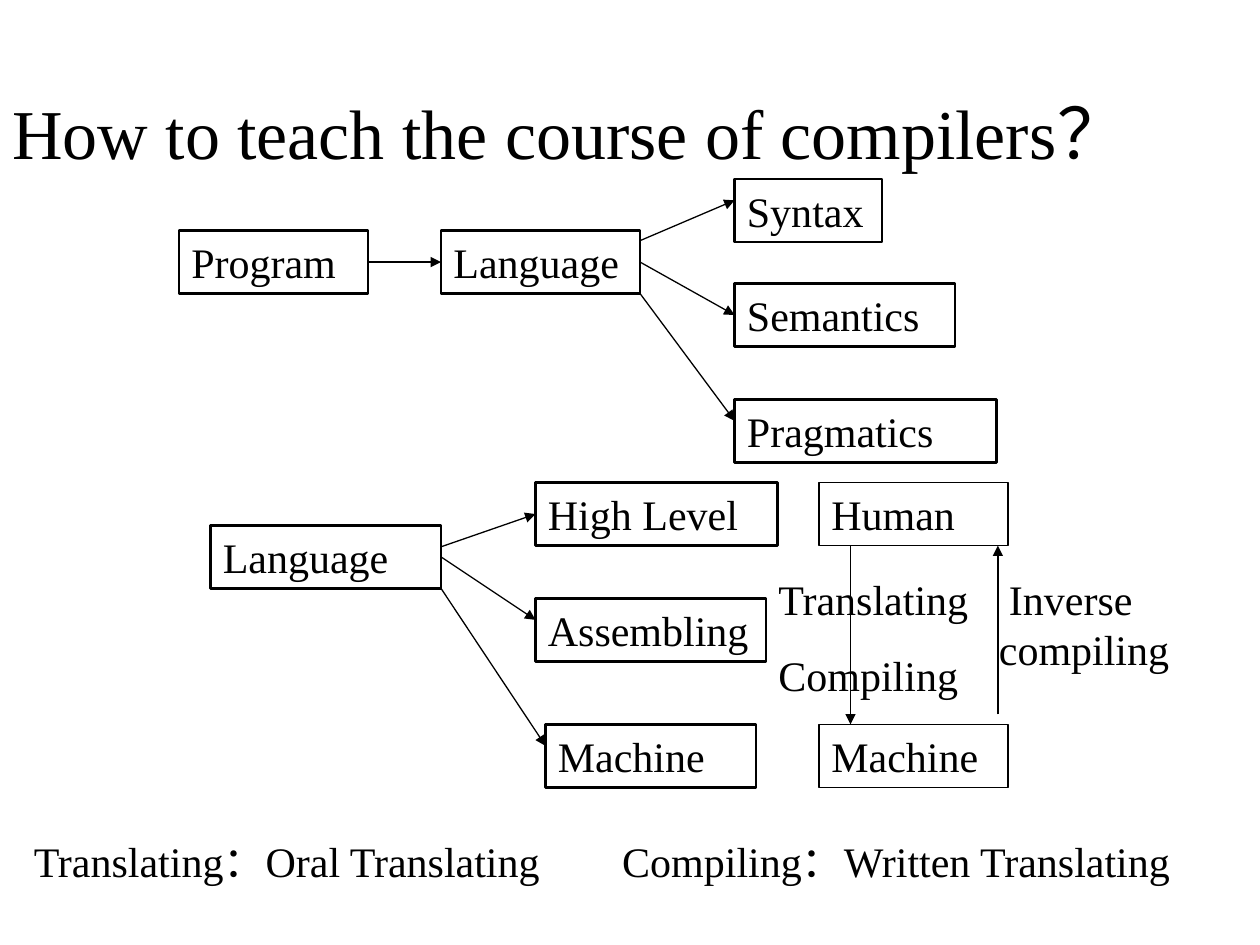
from lxml.etree import SubElement
from pptx import Presentation
from pptx.dml.color import RGBColor
from pptx.enum.shapes import MSO_CONNECTOR, MSO_SHAPE
from pptx.enum.text import MSO_ANCHOR, MSO_AUTO_SIZE, PP_ALIGN
from pptx.oxml.ns import qn
from pptx.util import Inches, Pt

COLORS = {"ink": "000000"}
FONT = "Times New Roman"
BOX_HEIGHT = 0.5
MIDDLE = BOX_HEIGHT / 2
LEFT_SIDE, RIGHT_SIDE = 1, 3


def ink():
    """Return the colour of all text and lines."""
    return RGBColor.from_string(COLORS["ink"])


def write(shape, lines, size=24, before=15):
    """Fill a shape with left-aligned paragraphs in the slide's font."""
    frame = shape.text_frame
    frame.word_wrap = True
    frame.vertical_anchor = MSO_ANCHOR.TOP
    frame.text = "\n".join(lines)
    for para in frame.paragraphs:
        para.alignment = PP_ALIGN.LEFT
        para.space_before = Pt(before)
        for span in para.runs:
            span.font.name = FONT
            span.font.size = Pt(size)
            span.font.color.rgb = ink()
    frame.auto_size = MSO_AUTO_SIZE.SHAPE_TO_FIT_TEXT
    return frame


def add_text(page, box, lines, **style):
    """Place a plain text box and return its text frame."""
    return write(page.shapes.add_textbox(*map(Inches, box)), lines, **style)


def add_node(page, left, top, width, label, weight=1.5):
    """Place an outlined, unfilled box with a label."""
    node = page.shapes.add_shape(
        MSO_SHAPE.RECTANGLE, *map(Inches, (left, top, width, BOX_HEIGHT)))
    node.shadow.inherit = False
    node.fill.background()
    node.line.color.rgb = ink()
    node.line.width = Pt(weight)
    write(node, [label])
    return node


def add_arrow(page, start, end):
    """Draw a thin straight arrow between two points."""
    arrow = page.shapes.add_connector(
        MSO_CONNECTOR.STRAIGHT, *map(Inches, (*start, *end)))
    arrow.line.color.rgb = ink()
    arrow.line.width = Pt(0.75)
    SubElement(arrow.line._get_or_add_ln(), qn("a:tailEnd"), type="triangle")
    SubElement(arrow._element.spPr, qn("a:effectLst"))
    return arrow


def add_link(page, source, target, start, end):
    """Draw an arrow between nodes, joined wherever it meets mid-side."""
    (source_node, left, top, width), (target_node, x, y) = source, target
    arrow = add_arrow(page, (left + width, top + start), (x, y + end))
    if start == MIDDLE:
        arrow.begin_connect(source_node, RIGHT_SIDE)
    if end == MIDDLE:
        arrow.end_connect(target_node, LEFT_SIDE)


def add_fan(page, box, label, branches):
    """Place a root node with arrows to its branches."""
    left, top, width = box
    root = (add_node(page, left, top, width, label), left, top, width)
    for name, right, down, branch_width, start, end in branches:
        x, y = left + right, top + down
        branch = add_node(page, x, y, branch_width, name)
        add_link(page, root, (branch, x, y), start, end)
    return root


def add_language_aspects(page, left, top):
    """Show a program leading to a language and its three aspects."""
    program = add_node(page, left, top, 1.5, "Program")
    language = add_fan(page, (left + 2.08, top, 1.58), "Language", [
        ("Syntax", 2.33, -0.41, 1.17, 0.08, 0.17),
        ("Semantics", 2.33, 0.42, 1.75, MIDDLE, MIDDLE),
        ("Pragmatics", 2.33, 1.34, 2.08, BOX_HEIGHT, 0.17),
    ])
    add_link(page, (program, left, top, 1.5), language[:3], MIDDLE, MIDDLE)


def add_language_levels(page, left, top):
    """Show a language and its three levels."""
    add_fan(page, (left, top, 1.83), "Language", [
        ("High Level", 2.58, -0.34, 1.92, 0.17, MIDDLE),
        ("Assembling", 2.58, 0.58, 1.83, MIDDLE, 0.17),
        ("Machine", 2.66, 1.58, 1.67, BOX_HEIGHT, 0.17),
    ])


def add_translation(page, left, top):
    """Show both directions between human and machine."""
    machine_top, human_bottom = top + 1.92, top + BOX_HEIGHT
    down, up = left + 0.25, left + 1.42
    add_node(page, left, top, 1.5, "Human", weight=1)
    add_node(page, left, machine_top, 1.5, "Machine", weight=1)
    add_arrow(page, (down, human_bottom), (down, machine_top))
    add_arrow(page, (up, machine_top - 0.08), (up, human_bottom))
    add_text(page, (left - 0.42, top + 0.67, 2, 1.11),
             ["Translating", "Compiling"])
    inverse = add_text(page, (left + 1.33, top + 0.67, 1.67, 0.9),
                       ["Inverse compiling"])
    inverse.paragraphs[0]._p.get_or_add_pPr().set("indent", str(Inches(0.08)))


def add_summary(page, box):
    """Place the two definitions, the second at a tab stop."""
    frame = add_text(page, box, [
        "Translating：Oral Translating\tCompiling：Written Translating"])
    props = frame.paragraphs[0]._p.get_or_add_pPr()
    stops = SubElement(props, qn("a:tabLst"))
    SubElement(stops, qn("a:tab"), pos=str(Inches(4.67)), algn="l")


def add_title(page, box):
    """Place the slide's title, centred vertically."""
    frame = add_text(page, box, ["How to teach the course of compilers？"],
                     size=40, before=0)
    frame.auto_size = MSO_AUTO_SIZE.NONE
    frame.vertical_anchor = MSO_ANCHOR.MIDDLE


def main():
    """Build the slide and save it."""
    deck = Presentation()
    deck.slide_width, deck.slide_height = Inches(10), Inches(7.5)
    page = deck.slides.add_slide(deck.slide_layouts[6])
    add_language_aspects(page, 1.42, 1.83)
    add_language_levels(page, 1.67, 4.17)
    add_translation(page, 6.5, 3.83)
    add_summary(page, (0.17, 6.58, 9.5, 0.5))
    add_title(page, (0, 0.42, 10, 1.25))
    deck.save("out.pptx")


if __name__ == "__main__":
    main()
